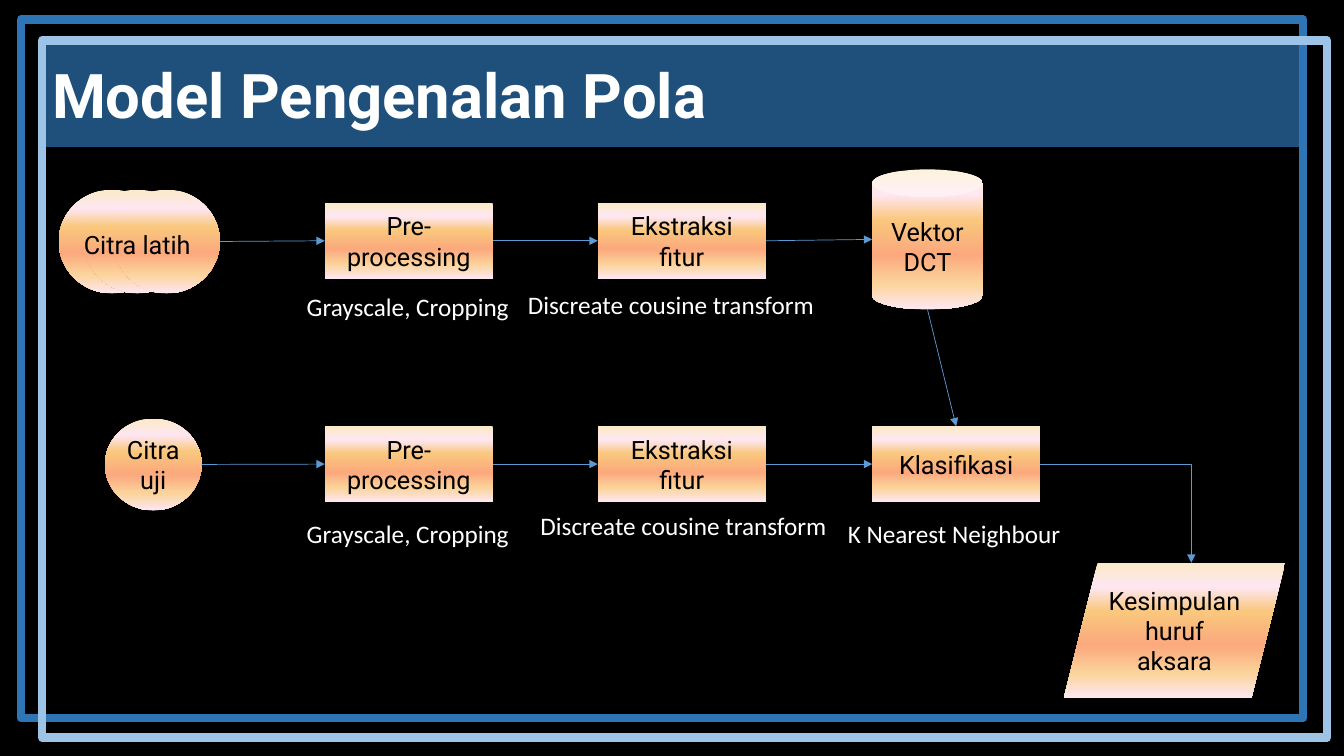
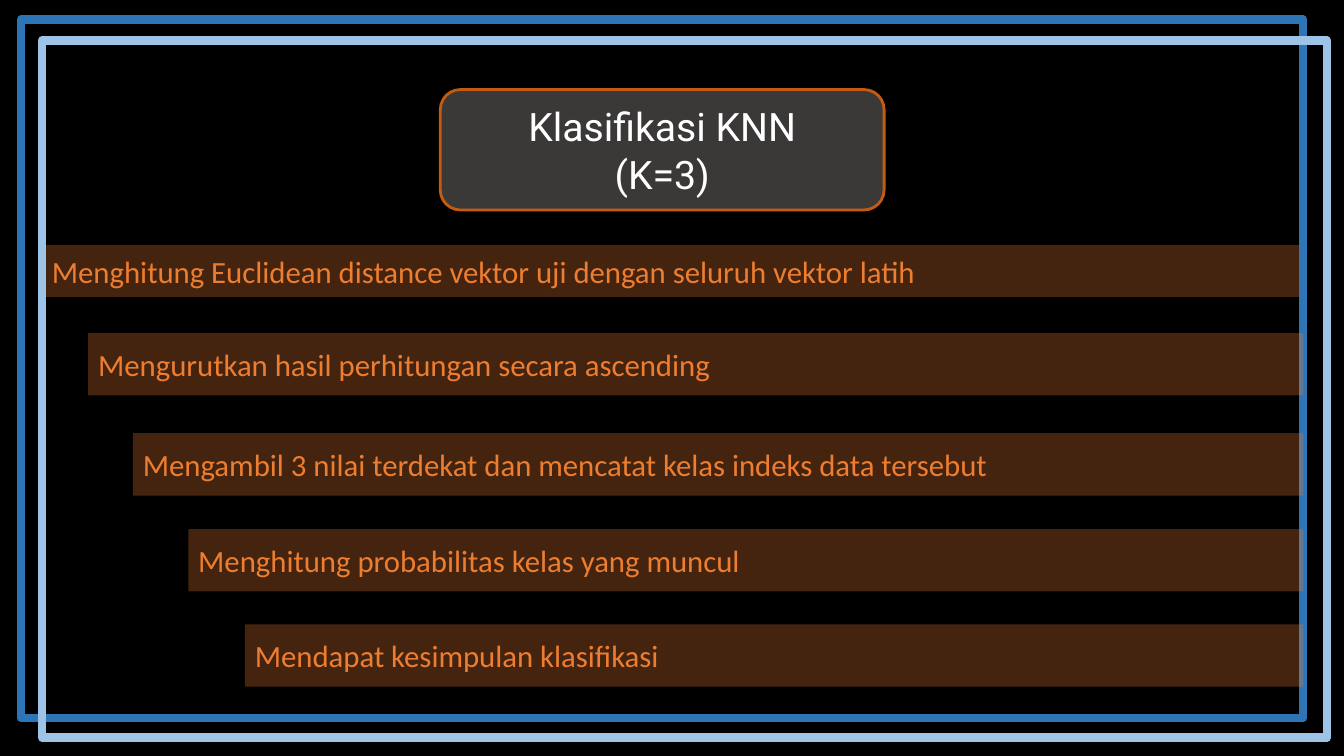
from lxml import etree
from pptx import Presentation
from pptx import util as u
from pptx.dml.color import RGBColor
from pptx.enum import shapes, text
from pptx.oxml import ns

Pt = u.Pt
KIND = shapes.MSO_SHAPE
LEFT, MID = text.PP_ALIGN.LEFT, text.PP_ALIGN.CENTER

BLACK, WHITE = "000000", "FFFFFF"
BLUE, PALE, LINK = "2E75B6", "9DC3E6", "5B9BD5"
ORANGE, RUST, GREY = "ED7D31", "C55A11", "3B3838"
GLOW = [(0, "FBEAC7"), (18, "FEE7F2"), (36, "FAC77D"),
        (61, "FBA97D"), (82, "FBD49C"), (100, "FEE7F2")]

HEAD = {"name": "Roboto", "size": Pt(44), "bold": True}
SUB = {"name": "Roboto", "size": Pt(28), "bold": False}
NODE = {"name": "Roboto", "size": Pt(18)}
NOTE = {"name": "Calibri", "size": Pt(18)}
STEP = {"name": "Calibri", "size": Pt(22)}
TIGHT = {"margin_left": 0, "margin_right": 0, "margin_top": 0, "margin_bottom": 0}

EDGE = 931
COLS = (232, 427, 623)
ROWS = (145, 304.5)


def color(code):
    return RGBColor.from_string(code)


def assign(item, values):
    for key, value in values.items():
        setattr(item, key, value)


def node(parent, tag, **attrs):
    """Append a DrawingML element with the given attributes."""
    return etree.SubElement(parent, ns.qn("a:" + tag), attrs)


def write(shape, words, font, tone, align=LEFT, **frame):
    """Fill a shape with text, one paragraph for each line."""
    body = shape.text_frame
    base = {"word_wrap": True, "auto_size": text.MSO_AUTO_SIZE.NONE,
            "vertical_anchor": text.MSO_ANCHOR.MIDDLE}
    assign(body, {**base, **frame})
    body.text = words
    for para in body.paragraphs:
        para.alignment = align
        assign(para.font, font)
        para.font.color.rgb = color(tone)


def paint(shape, fill=None, alpha=None, line=None, width=0):
    shape.shadow.inherit = False
    if fill:
        shape.fill.solid()
        shape.fill.fore_color.rgb = color(fill)
    else:
        shape.fill.background()
    if alpha:
        tint = shape._element.spPr.find(".//" + ns.qn("a:srgbClr"))
        node(tint, "alpha", val=str(alpha * 1000))
    if line:
        shape.line.color.rgb = color(line)
        shape.line.width = Pt(width)
    else:
        shape.line.fill.background()


def draw(slide, kind, box, **look):
    shape = slide.shapes.add_shape(kind, *map(Pt, box))
    paint(shape, **look)
    return shape


def glow(slide, kind, box, words="", **frame):
    """Add a flow chart node with the shared gradient."""
    shape = draw(slide, kind, box)
    shape.fill.gradient()
    shape.fill.gradient_angle = 270
    stops = shape._element.spPr.find(".//" + ns.qn("a:gsLst"))
    for old in list(stops):
        stops.remove(old)
    for pos, code in GLOW:
        stop = node(stops, "gs", pos=str(pos * 1000))
        node(stop, "srgbClr", val=code)
    if words:
        write(shape, words, NODE, BLACK, MID, **frame)
    return shape


def label(slide, box, words, font, tone, align=LEFT, wrap=False):
    shape = slide.shapes.add_textbox(*map(Pt, box))
    write(shape, words, font, tone, align, word_wrap=wrap,
          vertical_anchor=text.MSO_ANCHOR.TOP)


def spot(shape, across, down):
    """Give the point at these fractions of a shape's size."""
    return (int(shape.left + shape.width * across),
            int(shape.top + shape.height * down))


def arrow(slide, start, end, bent=False):
    types = shapes.MSO_CONNECTOR
    kind = types.ELBOW if bent else types.STRAIGHT
    link = slide.shapes.add_connector(kind, *start, *end)
    link.line.color.rgb = color(LINK)
    link.line.width = Pt(0.5)
    prop = link._element.spPr
    if bent:
        prop.find(ns.qn("a:prstGeom")).set("prst", "bentConnector2")
    node(prop.find(ns.qn("a:ln")), "tailEnd", type="triangle")
    node(prop, "effectLst")


def chain(slide, items):
    for one, two in zip(items, items[1:]):
        arrow(slide, spot(one, 1, 0.5), spot(two, 0, 0.5))


def frames(slide):
    for box, tone in (((15, 14, 916, 499), BLUE), ((30, 29, 918, 498), PALE)):
        draw(slide, KIND.RECTANGLE, box, line=tone, width=6)


def title(slide, box, words, font, align=LEFT, **look):
    shape = slide.shapes.title
    spots = ("left", "top", "width", "height")
    assign(shape, dict(zip(spots, map(Pt, box))))
    paint(shape, **look)
    write(shape, words, font, WHITE, align)
    return shape


def model(slide):
    title(slide, (30, 29, 901, 76), "Model Pengenalan Pola", HEAD,
          fill=BLUE, alpha=68)
    frames(slide)

    for left in (42, 60, 81):
        train = glow(slide, KIND.OVAL, (left, 135.5, 76, 74))
    test = glow(slide, KIND.OVAL, (75, 299, 69, 65.5), "Citra\nuji", **TIGHT)
    label(slide, (50, 160.5, 96, 51), "Citra latih", NODE, BLACK, MID, True)

    names = ("Pre-processing", "Ekstraksi fitur", "Klasifikasi")
    upper, lower = [
        [glow(slide, KIND.RECTANGLE, (left, top, 120, 54), name)
         for left, name in zip(COLS[:count], names)]
        for top, count in zip(ROWS, (2, 3))]
    store = glow(slide, KIND.CAN, (COLS[2], 121, 79, 100), "Vektor DCT")
    result = glow(slide, KIND.PARALLELOGRAM, (760, 402, 158, 96.5),
                  "Kesimpulan huruf aksara")

    chain(slide, [train, *upper, store])
    chain(slide, [test, *lower])
    final = lower[-1]
    arrow(slide, spot(store, 0.5, 1), spot(final, 0.5, 0))
    arrow(slide, spot(final, 1, 0.5), (Pt(851), result.top), True)

    gray, cosine = "Grayscale, Cropping", "Discreate cousine transform"
    for left, top, width, words in (
            (212, 204.5, 160, gray), (370, 203, 221, cosine),
            (212, 367, 160, gray), (379, 361, 221, cosine),
            (598.5, 367, 168, "K Nearest Neighbour")):
        label(slide, (left, top, width, 29), words, NOTE, WHITE)


def bar(slide, left, top, high, words):
    shape = draw(slide, KIND.RECTANGLE, (left, top, EDGE - left, high),
                 fill=ORANGE, alpha=29)
    write(shape, words, STEP, ORANGE)


def steps(slide):
    bar(slide, 30, 175, 37,
        "Menghitung Euclidean distance vektor uji dengan seluruh vektor latih")
    frames(slide)
    box = (314.5, 64, 317, 86)
    draw(slide, KIND.FLOWCHART_ALTERNATE_PROCESS, box,
         fill=GREY, line=RUST, width=2)
    head = title(slide, box, "Klasifikasi KNN\n(K=3)", SUB, MID)
    slide.shapes._spTree.append(head._element)
    for left, top, words in (
            (63, 238, "Mengurutkan hasil perhitungan secara ascending"),
            (95, 309.5, "Mengambil 3 nilai terdekat dan mencatat kelas "
                        "indeks data tersebut"),
            (134.5, 378, "Menghitung probabilitas kelas yang muncul"),
            (175, 446, "Mendapat kesimpulan klasifikasi")):
        bar(slide, left, top, 44.5, words)


def main():
    deck = Presentation()
    deck.slide_width, deck.slide_height = Pt(960), Pt(540)
    back = deck.slide_master.background.fill
    back.solid()
    back.fore_color.rgb = color(BLACK)
    for build in (model, steps):
        build(deck.slides.add_slide(deck.slide_layouts[5]))
    deck.save("out.pptx")


if __name__ == "__main__":
    main()
